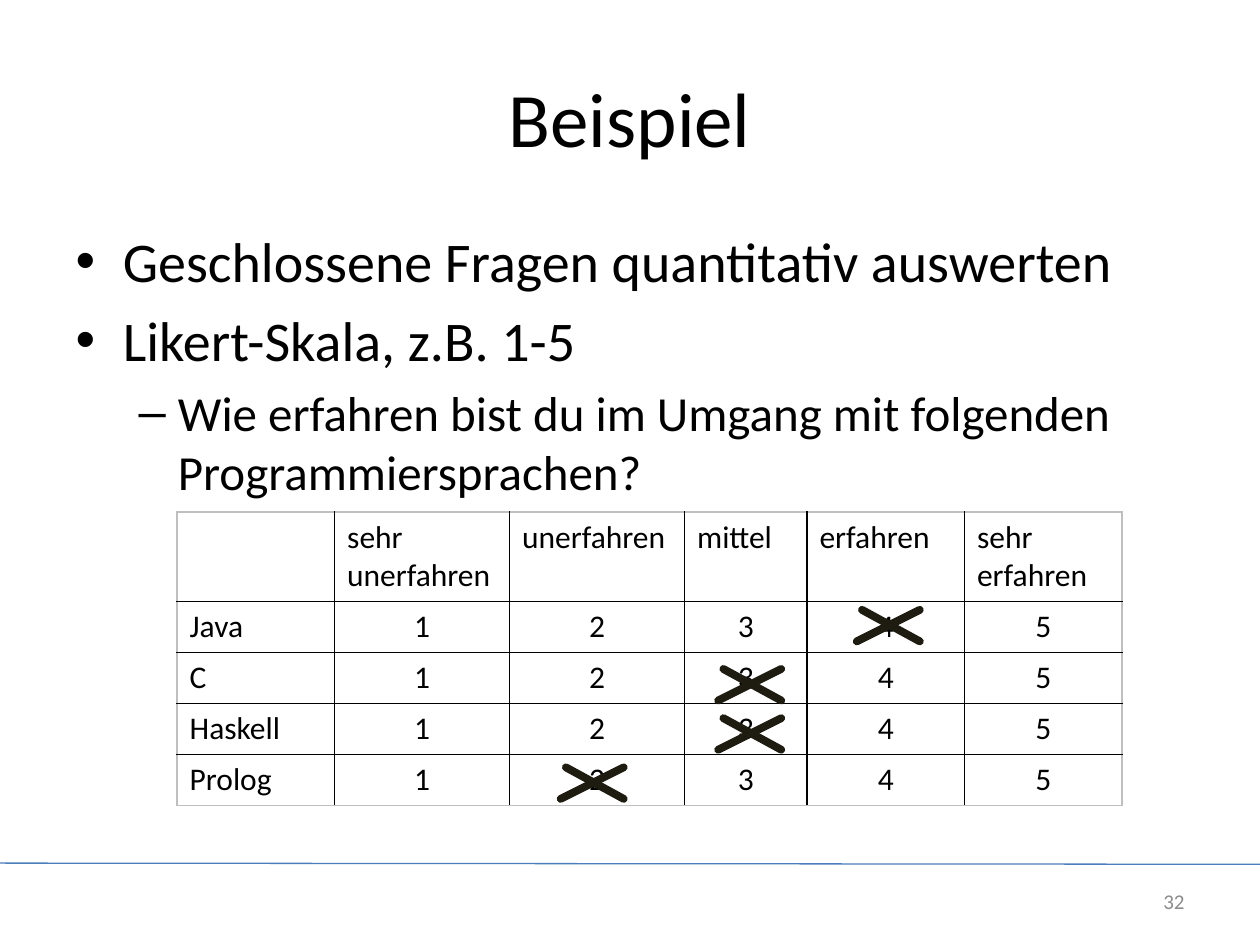
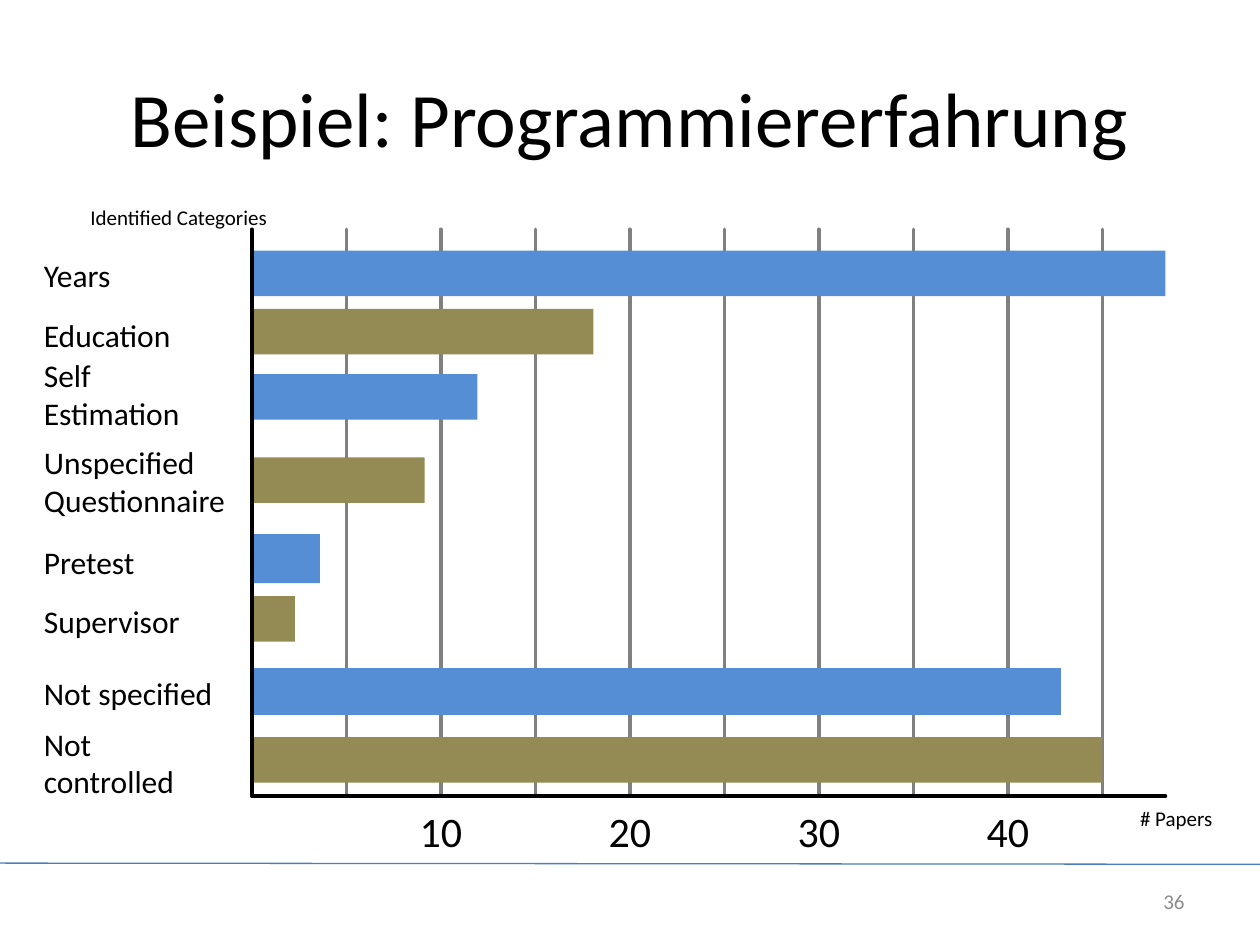
from lxml import etree
from pptx import Presentation
from pptx.dml.color import RGBColor
from pptx.enum.shapes import MSO_CONNECTOR, MSO_SHAPE
from pptx.enum.text import MSO_ANCHOR, PP_ALIGN
from pptx.oxml.ns import qn
from pptx.util import Pt

LEFT, CENTER, RIGHT = PP_ALIGN.LEFT, PP_ALIGN.CENTER, PP_ALIGN.RIGHT
TOP, MIDDLE = MSO_ANCHOR.TOP, MSO_ANCHOR.MIDDLE
STRAIGHT, RECT = MSO_CONNECTOR.STRAIGHT, MSO_SHAPE.RECTANGLE

FONT = "Calibri"
BLACK, GRAY, RULE = "000000", "8C8C8C", "4B7EBC"
GRID, FRAME, INK = "808080", "BFBFBF", "1E1C11"
BLUE, OLIVE = "558ED5", "948A54"
TITLE_ONLY, TITLE_BODY = 5, 1


def rgb(color):
    return RGBColor.from_string(color)


class Deck:
    def __init__(self):
        self.prs = Presentation()
        self.prs.slide_width, self.prs.slide_height = Pt(720), Pt(540)
        self.s = None

    def slide(self, layout, title, number):
        """Start a slide with its title, footer rule and number."""
        self.s = self.prs.slides.add_slide(self.prs.slide_layouts[layout])
        self.line(0, 493.2, 720, 493.9, RULE, 0.75)
        sp = self.s.shapes.title
        self.place(sp, 36, 21.6, 648, 90)
        sp.text_frame.text = title
        sp.text_frame.vertical_anchor = MIDDLE
        self.style(sp.text_frame.paragraphs[0], 44, align=CENTER)
        self.text(number, 618.5, 500.4, 65.5, 28.8, 12, GRAY, RIGHT)

    def place(self, sp, x, y, w, h):
        sp.left, sp.top, sp.width, sp.height = Pt(x), Pt(y), Pt(w), Pt(h)

    def style(self, p, size, color=BLACK, align=LEFT):
        p.alignment = align
        for r in p.runs:
            r.font.name, r.font.size = FONT, Pt(size)
            r.font.color.rgb = rgb(color)

    def text(self, text, x, y, w, h, size, color=BLACK, align=LEFT):
        sp = self.s.shapes.add_textbox(Pt(x), Pt(y), Pt(w), Pt(h))
        tf = sp.text_frame
        tf.word_wrap, tf.vertical_anchor = True, MIDDLE
        tf.text = text
        self.style(tf.paragraphs[0], size, color, align)

    def bullets(self, items):
        """Fill the body placeholder with (level, text) items."""
        sp = self.s.placeholders[1]
        self.place(sp, 36, 126, 648, 356.4)
        tf = sp.text_frame
        for i, (level, text) in enumerate(items):
            p = tf.add_paragraph() if i else tf.paragraphs[0]
            p.text, p.level = text, level
            if i == 0:
                p.space_before = Pt(0)
            self.style(p, (32, 28)[level])

    def line(self, x1, y1, x2, y2, color, width, shapes=None, round_cap=False):
        shapes = shapes or self.s.shapes
        sp = shapes.add_connector(STRAIGHT, Pt(x1), Pt(y1), Pt(x2), Pt(y2))
        sp.line.color.rgb, sp.line.width = rgb(color), Pt(width)
        if round_cap:
            sp.line._get_or_add_ln().set("cap", "rnd")
        etree.SubElement(sp._element.spPr, qn("a:effectLst"))

    def cross(self, x, y):
        """Tick a cell with a hand-drawn looking X."""
        shapes = self.s.shapes.add_group_shape().shapes
        self.line(x, y + 18, x + 36, y, INK, 4.5, shapes, True)
        self.line(x + 36, y + 18, x + 3, y, INK, 4.5, shapes, True)

    def bar(self, x, y, w, h, color):
        sp = self.s.shapes.add_shape(RECT, Pt(x), Pt(y), Pt(w), Pt(h))
        sp.shadow.inherit = False
        sp.fill.solid()
        sp.fill.fore_color.rgb = rgb(color)
        sp.line.fill.background()

    def border(self, cell, side, color):
        ln = etree.SubElement(cell._tc.get_or_add_tcPr(), qn("a:ln" + side),
                              w=str(Pt(1)))
        fill = etree.SubElement(ln, qn("a:solidFill"))
        etree.SubElement(fill, qn("a:srgbClr"), val=color)

    def table(self, rows, x, y, widths, heights, size):
        sp = self.s.shapes.add_table(len(rows), len(widths), Pt(x), Pt(y),
                                     Pt(sum(widths)), Pt(sum(heights)))
        table = sp.table
        table.first_row = table.horz_banding = False
        for col, w in zip(table.columns, widths):
            col.width = Pt(w)
        last_row, last_col = len(rows) - 1, len(widths) - 1
        for i, row in enumerate(rows):
            table.rows[i].height = Pt(heights[i])
            for j, text in enumerate(row):
                cell = table.cell(i, j)
                outer = {"L": j == 0, "R": j == last_col,
                         "T": i == 0, "B": i == last_row}
                for side, is_outer in outer.items():
                    self.border(cell, side, FRAME if is_outer else BLACK)
                cell.fill.background()
                is_value = i > 0 and j > 0
                cell.vertical_anchor = MIDDLE if is_value else TOP
                cell.text_frame.text = text
                for p in cell.text_frame.paragraphs:
                    self.style(p, size, align=CENTER if is_value else LEFT)


def likert_slide(deck):
    deck.slide(TITLE_BODY, "Beispiel", "32")
    deck.bullets([
        (0, "Geschlossene Fragen quantitativ auswerten"),
        (0, "Likert-Skala, z.B. 1-5"),
        (1, "Wie erfahren bist du im Umgang mit folgenden "
            "Programmiersprachen?"),
    ])

    # Questionnaire
    header = ["", "sehr\nunerfahren", "unerfahren", "mittel", "erfahren",
              "sehr erfahren"]
    languages = ["Java", "C", "Haskell", "Prolog"]
    rows = [header] + [[name, *"12345"] for name in languages]
    deck.table(rows, 101.2, 292.6, [90, 100, 100, 70, 90, 90],
               [51] + [29.2] * len(languages), 18)

    # Answers
    for x, y in [(489.6, 348.5), (410.4, 382.3), (410.4, 410.4),
                 (320.4, 438.5)]:
        deck.cross(x, y)


def papers_slide(deck):
    deck.slide(TITLE_ONLY, "Beispiel: Programmiererfahrung", "36")
    left, top, bottom, right = 144, 131, 455, 666
    step = 54  # five papers

    # Grid and scale
    for i in range(1, 10):
        x = left + i * step
        deck.line(x, top, x, bottom, GRID, 2, round_cap=True)
        if i % 2 == 0:
            deck.text(str(i * 5), x - 21, bottom, 42, 39.6, 24, align=CENTER)

    # Categories: name, papers, bar top, bar height, label middle, label width
    categories = [
        ("Years", 48.33, 143.2, 26, 157, 84),
        ("Education", 18.07, 176.5, 26, 191.2, 116),
        ("Self Estimation", 11.93, 213.8, 26, 225, 116),
        ("Unspecified Questionnaire", 9.13, 261.4, 26, 274.7, 126),
        ("Pretest", 3.6, 305.2, 28, 320.8, 116),
        ("Supervisor", 2.27, 340.6, 26, 354.6, 126),
        ("Not specified", 42.8, 381.8, 26.8, 396, 116),
        ("Not controlled", 45, 421.2, 26, 435.6, 116),
    ]
    for i, (name, papers, y, h, middle, w) in enumerate(categories):
        deck.bar(left, y, papers * step / 5, h, OLIVE if i % 2 else BLUE)
        deck.text(name, 18, middle - 12, w, 24, 18)

    # Axes
    deck.line(left, bottom, right, bottom, BLACK, 2, round_cap=True)
    deck.line(left, top, left, bottom, BLACK, 2, round_cap=True)
    deck.text("# Papers", 644.4, 455.8, 69.8, 23, 12)
    deck.text("Identified Categories", 44.6, 112.3, 135.4, 23, 12)


def main():
    deck = Deck()
    likert_slide(deck)
    papers_slide(deck)
    deck.prs.save("out.pptx")


if __name__ == "__main__":
    main()
